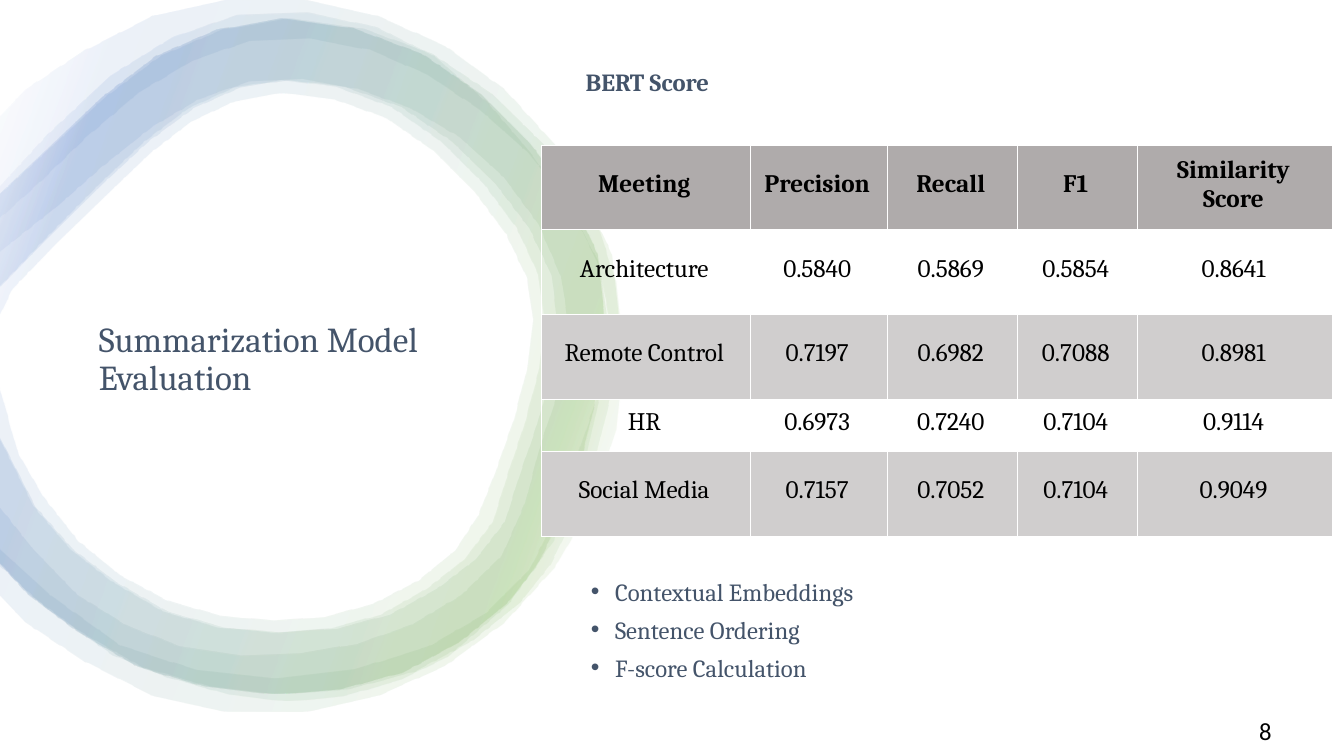
import math
from dataclasses import dataclass

import pptx
import pptx.dml.color
import pptx.enum.text
import pptx.util
from lxml import etree
from pptx.oxml.ns import qn

Inches = pptx.util.Inches
Pt = pptx.util.Pt
Align = pptx.enum.text.PP_ALIGN
Anchor = pptx.enum.text.MSO_ANCHOR


@dataclass(frozen=True)
class Theme:
    serif: str = "Cambria"
    sans: str = "Calibri"
    ink: str = "44546A"
    black: str = "000000"
    white: str = "FFFFFF"
    head: str = "AFABAB"
    band: str = "D0CECE"
    green: str = "70AD47"
    blue: str = "4472C4"
    title: float = 25
    cell: float = 18
    body: float = 17.6


THEME = Theme()

ROWS = [
    ["Meeting", "Precision", "Recall", "F1", "Similarity\vScore"],
    ["Architecture", "0.5840", "0.5869", "0.5854", "0.8641"],
    ["Remote Control", "0.7197", "0.6982", "0.7088", "0.8981"],
    ["HR", "0.6973", "0.7240", "0.7104", "0.9114"],
    ["Social Media", "0.7157", "0.7052", "0.7104", "0.9049"],
]
WIDTHS = [2.07, 1.36, 1.29, 1.19, 1.94]
HEIGHTS = [0.84, 0.84, 0.84, 0.52, 0.84]
POINTS = ["Contextual Embeddings", "Sentence Ordering", "F-score Calculation"]

# Ring edges in inches: outer ones run clockwise, inner ones back again
BAND_OUT = [
    (0, 1.84), (1.09, 0.75), (2.34, 0.15), (3.73, 0.27), (4.84, 1.03), (5.94, 2.62),
    (5.93, 3.96), (5.49, 5.35), (4.43, 6.51), (2.84, 6.95), (1.11, 6.49), (0, 5.61)]
BAND_IN = [
    (0, 5.03), (0.76, 5.89), (1.81, 6.41), (2.97, 6.47), (4.07, 6.19), (4.97, 5.5),
    (5.35, 4.41), (5.64, 3.29), (5.33, 2.22), (4.55, 1.36), (3.53, 0.88),
    (2.46, 0.81), (1.5, 1.26), (0.57, 2.04), (0, 2.49)]
LOOP_OUT = [
    (0, 1.92), (0.56, 1.39), (1.55, 0.55), (2.79, 0.18), (4.18, 0.53), (5.25, 1.42),
    (5.92, 2.52), (5.92, 3.86), (5.54, 5.14), (5.03, 5.97), (4, 6.66), (2.71, 6.88),
    (1.37, 6.61), (0.27, 5.88), (0, 5.58)]
THIN_IN = [
    (0, 4.34), (0.34, 5.02), (0.7, 5.44), (1.62, 6.06), (2.71, 6.27), (3.77, 6.09),
    (4.6, 5.54), (4.88, 5.17), (5.02, 4.72), (5.34, 3.65), (5.33, 2.72),
    (4.79, 1.82), (3.88, 1.06), (2.79, 0.79), (1.87, 1.07), (0.99, 1.82), (0, 2.84)]
WIDE_IN = [
    (0, 3.83), (0.18, 4.48), (0.78, 5.36), (1.66, 5.95), (2.71, 6.15), (3.7, 5.98),
    (4.51, 5.45), (4.9, 4.69), (5.23, 3.6), (5.22, 2.76), (4.7, 1.9), (3.83, 1.17),
    (2.79, 0.92), (1.9, 1.2), (1.08, 1.91), (0.13, 2.86), (0, 3.13)]
DISC_IN = [
    (0, 5.44), (1.2, 6.4), (2.73, 6.72), (4.24, 6.41), (5.24, 5.65), (5.73, 4.47),
    (6.05, 3.22), (5.63, 2.02), (4.75, 1.09), (3.67, 0.5), (2.47, 0.41),
    (1.38, 0.92), (0.42, 1.79), (0, 2.17)]
DISC_OUT = [(2.63 + 3.55 * math.cos(math.radians(a)), 3.53 + 3.55 * math.sin(math.radians(a)))
            for a in range(-132, 133, 24)]


def rgb(code):
    return pptx.dml.color.RGBColor.from_string(code)


def write(frame, text, size=THEME.body, font=THEME.serif, color=THEME.ink, bold=False,
          align=Align.LEFT, after=0, line=1.0, hang=0):
    """Fill a text frame, one paragraph to each line of text."""
    frame.word_wrap = True
    for i, words in enumerate(text.split("\n")):
        para = frame.paragraphs[0] if i == 0 else frame.add_paragraph()
        para.text = words
        para.alignment = align
        para.space_before, para.space_after = Pt(0), Pt(after)
        para.line_spacing = line
        if hang:
            props = para._p.get_or_add_pPr()
            props.set("marL", str(Inches(hang)))
            props.set("indent", str(-Inches(hang)))
        for run in para.runs:
            run.font.size, run.font.name, run.font.bold = Pt(size), font, bold
            run.font.color.rgb = rgb(color)


def place(shape, x, y, w, h):
    shape.left, shape.top = Inches(x), Inches(y)
    shape.width, shape.height = Inches(w), Inches(h)


def label(slide, text, x, y, w, h, **style):
    box = slide.shapes.add_textbox(Inches(x), Inches(y), Inches(w), Inches(h))
    write(box.text_frame, text, after=6, **style)


def smooth(knots, reach=0.8):
    """Sample a Catmull-Rom curve, with points no further apart than reach."""
    ends = [knots[0], *knots, knots[-1]]
    curve = []
    for a, b, c, d in zip(ends, ends[1:], ends[2:], ends[3:]):
        steps = math.ceil(math.dist(b, c) / reach)
        for t in (n / steps for n in range(steps)):
            curve.append(tuple(
                0.5 * (2 * q + (r - p) * t + (2 * p - 5 * q + 4 * r - s) * t ** 2
                       + (3 * q - p - 3 * r + s) * t ** 3)
                for p, q, r, s in zip(a, b, c, d)))
    return curve + [knots[-1]]


def ring(slide, outer, inner, stretch=1.0):
    """Draw one translucent layer of the ring, open at the slide's left edge."""
    edge = [(max(0, round(x * stretch * 1000)), round(y * 1000))
            for x, y in smooth(outer) + smooth(inner)]
    pen = slide.shapes.build_freeform(*edge[0], scale=Inches(1) / 1000)
    pen.add_line_segments(edge[1:], close=True)
    shape = pen.convert_to_shape()
    shape.shadow.inherit = False
    shape.line.fill.background()
    grad = etree.Element(qn("a:gradFill"), rotWithShape="1")
    stops = etree.SubElement(grad, qn("a:gsLst"))
    for pos, code in [(2, THEME.white), (16, THEME.green), (85, THEME.blue), (100, THEME.white)]:
        stop = etree.SubElement(stops, qn("a:gs"), pos=str(pos * 1000))
        tint = etree.SubElement(stop, qn("a:srgbClr"), val=code)
        etree.SubElement(tint, qn("a:alpha"), val="10000")
    etree.SubElement(grad, qn("a:lin"), ang=str(200 * 60000), scaled="0")
    shape._element.spPr.find(qn("a:custGeom")).addnext(grad)


def border(cell):
    props = cell._tc.get_or_add_tcPr()
    for i, side in enumerate(["lnL", "lnR", "lnT", "lnB"]):
        line = etree.Element(qn("a:" + side), w=str(Pt(0.75)))
        fill = etree.SubElement(line, qn("a:solidFill"))
        etree.SubElement(fill, qn("a:srgbClr"), val=THEME.white)
        props.insert(i, line)


def grid(slide, x, y):
    frame = slide.shapes.add_table(len(ROWS), len(WIDTHS), Inches(x), Inches(y),
                                   Inches(sum(WIDTHS)), Inches(sum(HEIGHTS)))
    table = frame.table
    for col, width in zip(table.columns, WIDTHS):
        col.width = Inches(width)
    for r, words in enumerate(ROWS):
        table.rows[r].height = Inches(HEIGHTS[r])
        for c, word in enumerate(words):
            cell = table.cell(r, c)
            cell.vertical_anchor = Anchor.MIDDLE
            cell.margin_left, cell.margin_top = Inches(0.06), Inches(0.07)
            cell.margin_right, cell.margin_bottom = Inches(0.09), Inches(0.13)
            if r % 2:
                cell.fill.background()
            else:
                cell.fill.solid()
                cell.fill.fore_color.rgb = rgb(THEME.band if r else THEME.head)
            border(cell)
            write(cell.text_frame, word, size=THEME.cell, color=THEME.black,
                  bold=r == 0, align=Align.CENTER)


def main():
    deck = pptx.Presentation()
    deck.slide_width, deck.slide_height = Inches(13.33), Inches(7.5)
    slide = deck.slides.add_slide(deck.slide_layouts[1])

    # Ring
    ring(slide, BAND_OUT, BAND_IN)
    ring(slide, LOOP_OUT, THIN_IN, stretch=1.025)
    ring(slide, LOOP_OUT, WIDE_IN)
    ring(slide, LOOP_OUT, THIN_IN)
    ring(slide, [(0, 1.16), *DISC_OUT, (0, 5.9)], DISC_IN)

    # Title and list
    title, body = slide.shapes.title, slide.placeholders[1]
    place(title, 0.88, 2.21, 4, 2.72)
    title.text_frame.vertical_anchor = Anchor.MIDDLE
    write(title.text_frame, "Summarization Model Evaluation", size=THEME.title, line=0.9)
    place(body, 5.76, 5.67, 4, 1.16)
    write(body.text_frame, "\n".join(POINTS), after=6, hang=0.24)
    for item in (title, body):
        item.text_frame.auto_size = pptx.enum.text.MSO_AUTO_SIZE.NONE
        slide.shapes._spTree.append(item._element)

    # Scores and labels
    grid(slide, 5.37, 1.44)
    label(slide, "BERT Score", 5.71, 0.61, 2.05, 0.4, bold=True)
    label(slide, "8", 12.39, 7.05, 0.63, 0.39, font=THEME.sans, color=THEME.black)
    deck.save("out.pptx")


if __name__ == "__main__":
    main()
